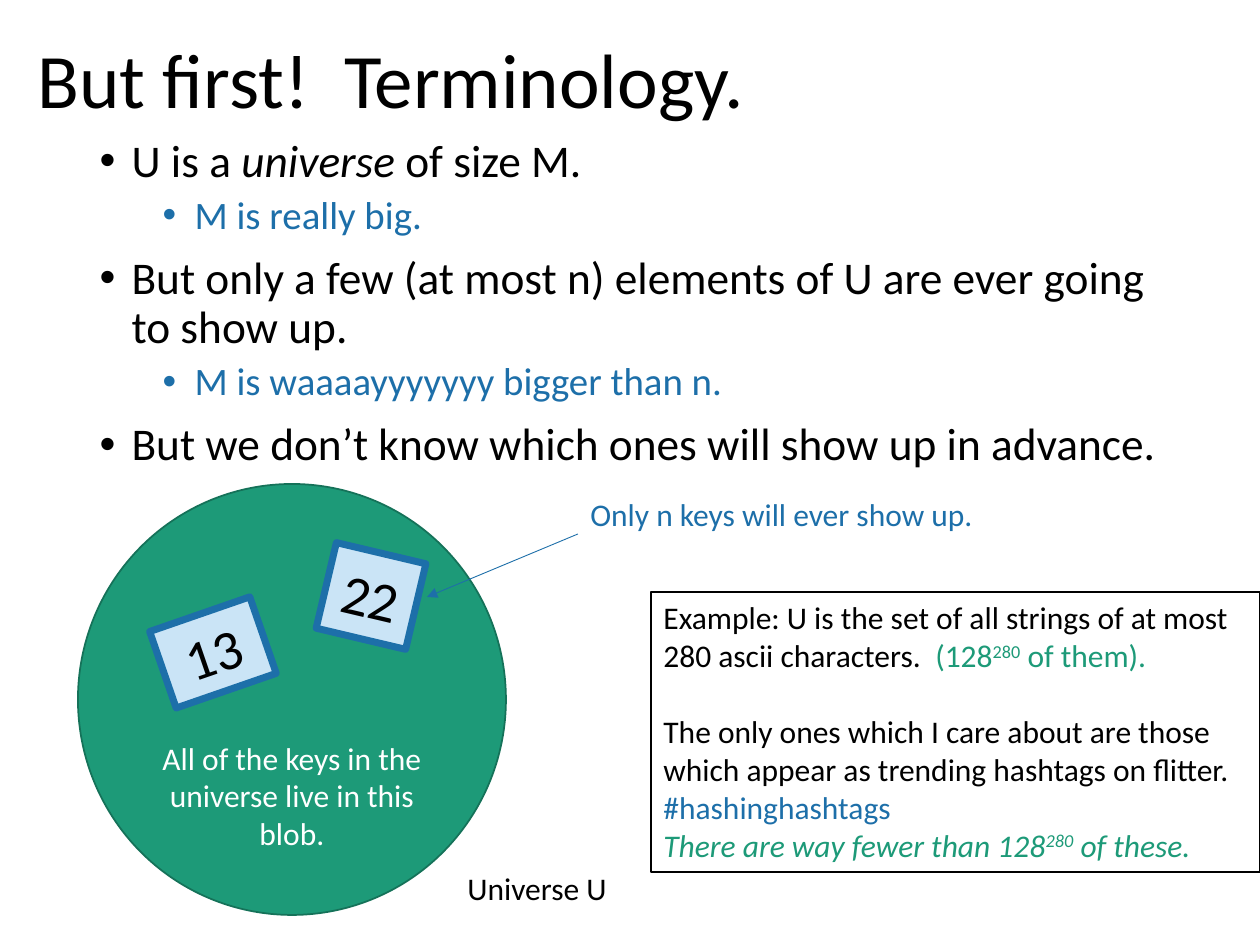
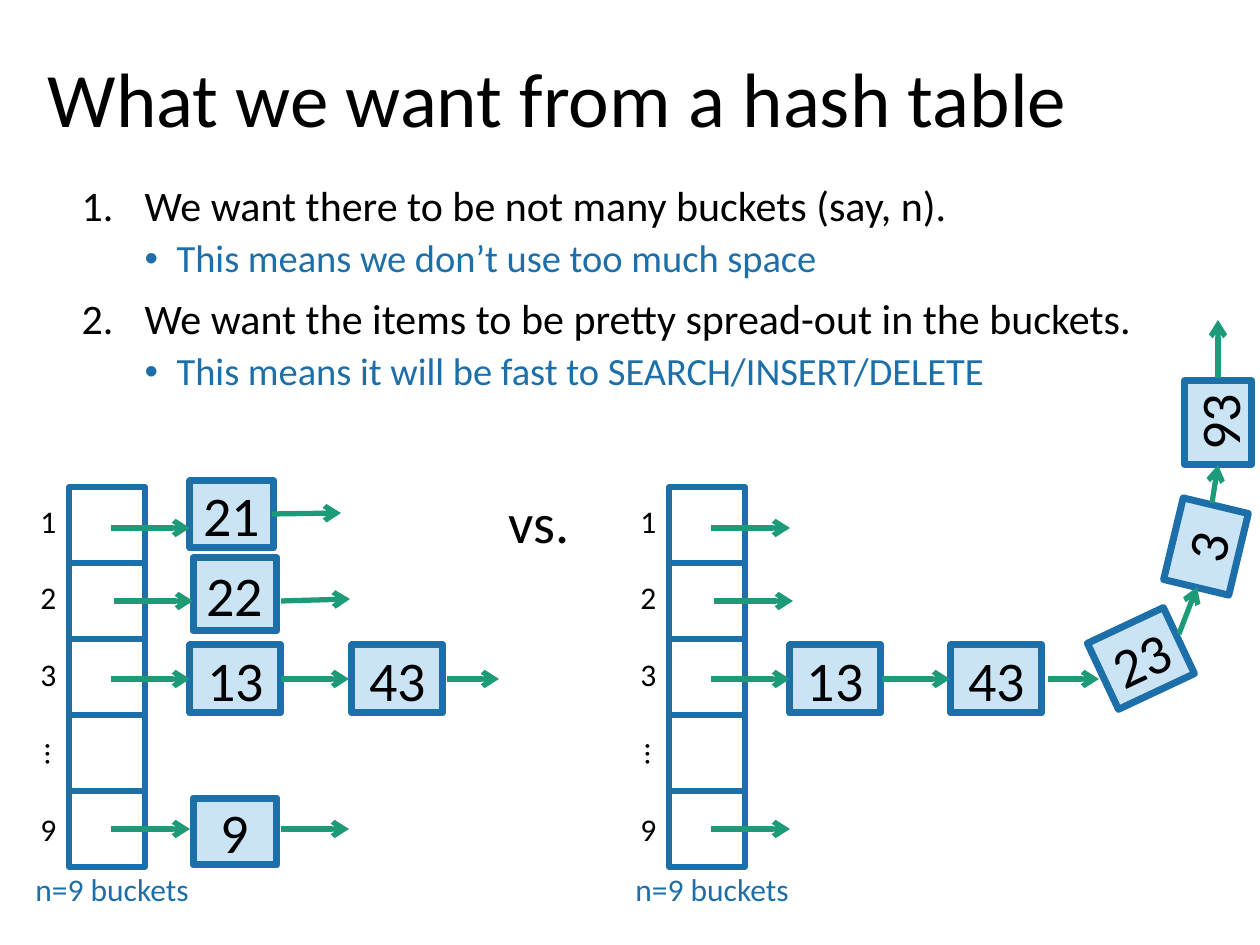
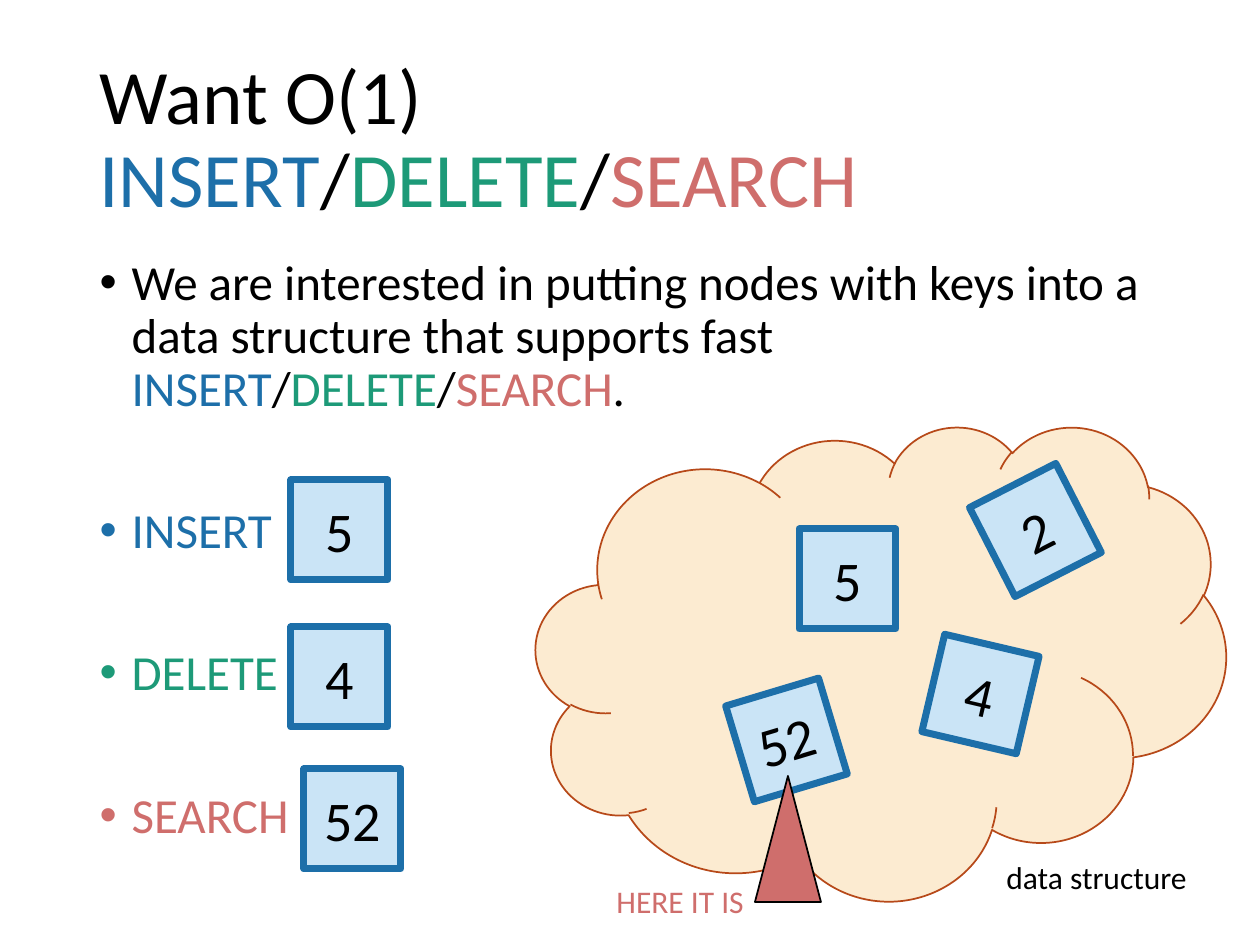
from lxml import etree
from pptx import Presentation
from pptx import util as u
from pptx.dml import color as dml
from pptx.enum import shapes, text
from pptx.oxml import ns

SCALE = 914400 / 126  # EMU in one px
FONT = "Calibri"
COLORS = {
    "black": "000000", "white": "FFFFFF", "blue": "1D6FA9", "pale": "CAE4F6",
    "green": "1D9A78", "dark green": "157259", "red": "CF6E6C",
    "cream": "FCEBD1", "rust": "B74919",
}
RGB = {name: dml.RGBColor.from_string(value) for name, value in COLORS.items()}
LEFT, CENTER = text.PP_ALIGN.LEFT, text.PP_ALIGN.CENTER
KIND = shapes.MSO_SHAPE

# Paragraph formats: spacing, and bullets as (tag, attributes, font, indent, hang)
DOT = ("a:buChar", {"char": "•"}, "Arial")
NUMBER = ("a:buAutoNum", {"type": "arabicPeriod"}, FONT)
PLAIN = {"alignment": LEFT}
MIDDLE = {"alignment": CENTER}
TITLE = {"alignment": LEFT, "line_spacing": 0.9, "space_before": u.Pt(0)}
ITEM = {"line_spacing": 0.9, "space_before": u.Pt(10), "bullet": (*DOT, 32, -32)}
STEP = {**ITEM, "bullet": (*NUMBER, 63, -63)}
DETAIL = {**ITEM, "space_before": u.Pt(5), "level": 1, "bullet": (*DOT, 95, -32)}
FIRST = {"space_before": u.Pt(0)}
SPACED = {"space_before": u.Pt(51)}


def px(*lengths):
    return [u.Emu(round(length * SCALE)) for length in lengths]


def write(frame, paras, size, color="black"):
    """Fill a frame with (format, spans); a span is text or (text, font values)."""
    frame.word_wrap = True
    frame.auto_size = text.MSO_AUTO_SIZE.NONE
    for index, (layout, spans) in enumerate(paras):
        para = frame.paragraphs[0] if index == 0 else frame.add_paragraph()
        for name, value in layout.items():
            if name != "bullet":
                setattr(para, name, value)
                continue
            tag, marks, font, indent, hang = value
            props = para._p.get_or_add_pPr()
            for key, length in zip(("marL", "indent"), px(indent, hang)):
                props.set(key, str(length))
            etree.SubElement(props, ns.qn("a:buFont"), typeface=font)
            etree.SubElement(props, ns.qn(tag), marks)
        for words in spans:
            words, values = (words, {}) if isinstance(words, str) else words
            values = {"name": FONT, "size": size, "color": color, **values}
            span = para.add_run()
            span.text = words
            for name, value in values.items():
                if name == "color":
                    span.font.color.rgb = RGB[value]
                elif name == "baseline":
                    span._r.get_or_add_rPr().set("baseline", value)
                else:
                    setattr(span.font, name, u.Pt(value) if name == "size" else value)


def add_box(page, area, paras=(), kind=None, fill=None, line=None, width=1,
            turn=0, size=18, color="black", anchor=text.MSO_ANCHOR.MIDDLE):
    """Add a preset shape, or a text box when no kind is given."""
    if kind is None:
        box = page.shapes.add_textbox(*px(*area))
    else:
        box = page.shapes.add_shape(kind, *px(*area))
        box.shadow.inherit = False
        box.line.color.rgb = RGB[line]
        box.line.width = u.Pt(width)
        if fill:
            box.fill.solid()
            box.fill.fore_color.rgb = RGB[fill]
        else:
            box.fill.background()
        box.text_frame.vertical_anchor = anchor
    box.rotation = turn
    if paras:
        write(box.text_frame, paras, size, color)
    return box


NODE = {"kind": KIND.RECTANGLE, "fill": "pale", "line": "blue", "width": 4, "size": 32}
BLUE, GREEN, RED = ({"color": name} for name in ("blue", "green", "red"))
OPERATIONS = [("INSERT", BLUE), "/", ("DELETE", GREEN), "/", ("SEARCH", RED)]

deck = Presentation()
deck.slide_width, deck.slide_height = px(1260, 945)

# Titles and lists: title area, title, list area, list size, list
outlines = [
    ((25, 23, 1086, 122), ["But first!  Terminology."],
     (87, 132, 1086, 345), 25.9, [
        ({**ITEM, **FIRST}, ["U is a ", ("universe", {"italic": True}), " of size M."]),
        (DETAIL, [("M is really big.", {**BLUE, "size": 22.2})]),
        (ITEM, ["But only a few (at most n) elements of U are ever going to show up."]),
        (DETAIL, [("M is waaaayyyyyyy bigger than n.", {**BLUE, "size": 22.2})]),
        (ITEM, ["But we don’t know which ones will show up in advance."])]),
    ((35, 48, 1086, 110), ["What we want from a hash table"],
     (69, 179, 1191, 600), 24, [
        ({**STEP, **FIRST}, ["We want there to be not many buckets (say, n)."]),
        (DETAIL, [("This means we don’t use too much space", {**BLUE, "size": 22})]),
        (STEP, ["We want the items to be pretty spread-out in the buckets."]),
        (DETAIL, [("This means it will be fast to SEARCH/INSERT/DELETE",
                   {**BLUE, "size": 22})])]),
    ((87, 50, 1086, 183), ["Want O(1) ", *OPERATIONS],
     (87, 252, 1086, 600), 28, [
        ({**ITEM, **FIRST}, ["We are interested in putting nodes with keys into a data "
                             "structure that supports fast ", *OPERATIONS, "."]),
        *(({**ITEM, **SPACED}, [operation]) for operation in OPERATIONS[::2])]),
]
pages = []
for title_area, title, list_area, size, items in outlines:
    page = deck.slides.add_slide(deck.slide_layouts[1])
    heading, listing = page.placeholders
    for holder, area in ((heading, title_area), (listing, list_area)):
        holder.left, holder.top, holder.width, holder.height = px(*area)
    heading.text_frame.vertical_anchor = text.MSO_ANCHOR.MIDDLE
    write(heading.text_frame, [(TITLE, title)], 44)
    write(listing.text_frame, items, size)
    pages.append(page)
terms, buckets, goals = pages

# Terminology: the universe and its keys
universe = add_box(terms, (78, 484, 428, 431),
                   [(MIDDLE, ["All of the keys in the universe live in this blob."])],
                   KIND.OVAL, "green", "dark green", color="white")
universe.text_frame.margin_top, = px(198)
add_box(terms, (455, 863, 165, 50), [(PLAIN, ["Universe U"])])
add_box(terms, (578, 489, 441, 89), [(PLAIN, ["Only n keys will ever show up."])],
        color="blue")
slanted = {**GREEN, "italic": True}
raised = {"baseline": "30000"}
add_box(terms, (651, 592, 609, 280), [
    (PLAIN, ["Example: U is the set of all strings of at most 280 ascii characters.  ",
             ("(128", GREEN), ("280", {**GREEN, **raised}), (" of them).", GREEN)]),
    ({**PLAIN, "space_before": u.Pt(22)}, [
        "The only ones which I care about are those which appear as trending "
        "hashtags on flitter.  ", ("#hashinghashtags", BLUE)]),
    (PLAIN, [("There are way fewer than 128", slanted), ("280", {**slanted, **raised}),
             (" of these.", slanted)]),
], KIND.RECTANGLE, line="black", width=0.75, anchor=text.MSO_ANCHOR.TOP)

# Hash table: two columns of buckets, labelled at the left
arrows = []
for left in (69, 669):
    for row in range(5):
        add_box(buckets, (left, 487 + 76 * row, 76, 76), kind=KIND.RECTANGLE,
                line="blue", width=3)
    for label, top in (("1", 496), ("2", 572), ("3", 649), ("9", 804)):
        add_box(buckets, (left - 41, top, 64, 50), [(PLAIN, [label])])
    add_box(buckets, (left - 50, 746, 79, 50), [(PLAIN, ["…"])], turn=90)
    add_box(buckets, (left - 46, 864, 208, 50), [(PLAIN, ["n=9 buckets"])], color="blue")
    for shift, level in ((42, 528), (45, 601), (42, 679), (42, 829)):
        arrows.append((left + shift, level, left + shift + 79, level))
add_box(buckets, (496, 481, 135, 81), [(PLAIN, ["vs."])], size=32)

# Nodes: key, area, turn
nodes = [
    (terms, "22", (325, 552, 92, 88), 13.3),
    (terms, "13", (160, 612, 106, 81), -19.1),
    (buckets, "21", (190, 481, 84, 67), 0),
    (buckets, "22", (193, 558, 84, 73), 0),
    (buckets, "13", (190, 645, 91, 68), 0),
    (buckets, "43", (352, 645, 91, 68), 0),
    (buckets, "9", (193, 798, 84, 67), 0),
    (buckets, "13", (790, 645, 91, 68), 0),
    (buckets, "43", (951, 645, 91, 68), 0),
    (buckets, "23", (1099, 622, 84, 73), -25.2),
    (buckets, "3", (1164, 513, 84, 67), -76.5),
    (buckets, "93", (1176, 389, 84, 67), -90),
]
places = [("5", 799, 529, 0), ("2", 987, 480, -27.1), ("4", 932, 644, 13.2),
          ("52", 738, 690, -16.7), ("5", 291, 480, 0), ("4", 291, 627, 0),
          ("52", 304, 769, 0)]
nodes += [(goals, key, (left, top, 97, 100), turn) for key, left, top, turn in places]

# Operations: the data structure lies behind its nodes
add_box(goals, (536, 426, 690, 474), kind=KIND.CLOUD, fill="cream", line="rust")
for page, key, area, turn in nodes:
    add_box(page, area, [(MIDDLE, [key])], turn=turn, **NODE)
add_box(goals, (994, 852, 231, 50), [(PLAIN, ["data structure"])])
add_box(goals, (755, 776, 66, 126), kind=KIND.ISOSCELES_TRIANGLE, fill="red", line="black")
add_box(goals, (604, 876, 184, 50), [(PLAIN, ["HERE IT IS"])], color="red")

# Arrows: from the note to a key, and along the chains of nodes
arrows += [
    (272, 514, 341, 513), (281, 601, 350, 599), (281, 679, 349, 679),
    (447, 679, 499, 679), (281, 829, 349, 829),
    (882, 679, 950, 679), (1048, 679, 1099, 679), (1179, 634, 1197, 587),
    (1212, 503, 1218, 465), (1218, 378, 1218, 320),
]
links = [(terms, (578, 534, 427, 597), "blue", 0.5, "triangle")]
links += [(buckets, ends, "green", 3, "arrow") for ends in arrows]
for page, ends, color, width, head in links:
    link = page.shapes.add_connector(shapes.MSO_CONNECTOR.STRAIGHT, *px(*ends))
    link.line.color.rgb = RGB[color]
    link.line.width = u.Pt(width)
    etree.SubElement(link.line._get_or_add_ln(), ns.qn("a:tailEnd"), type=head)
    etree.SubElement(link._element.spPr, ns.qn("a:effectLst"))

deck.save("out.pptx")
